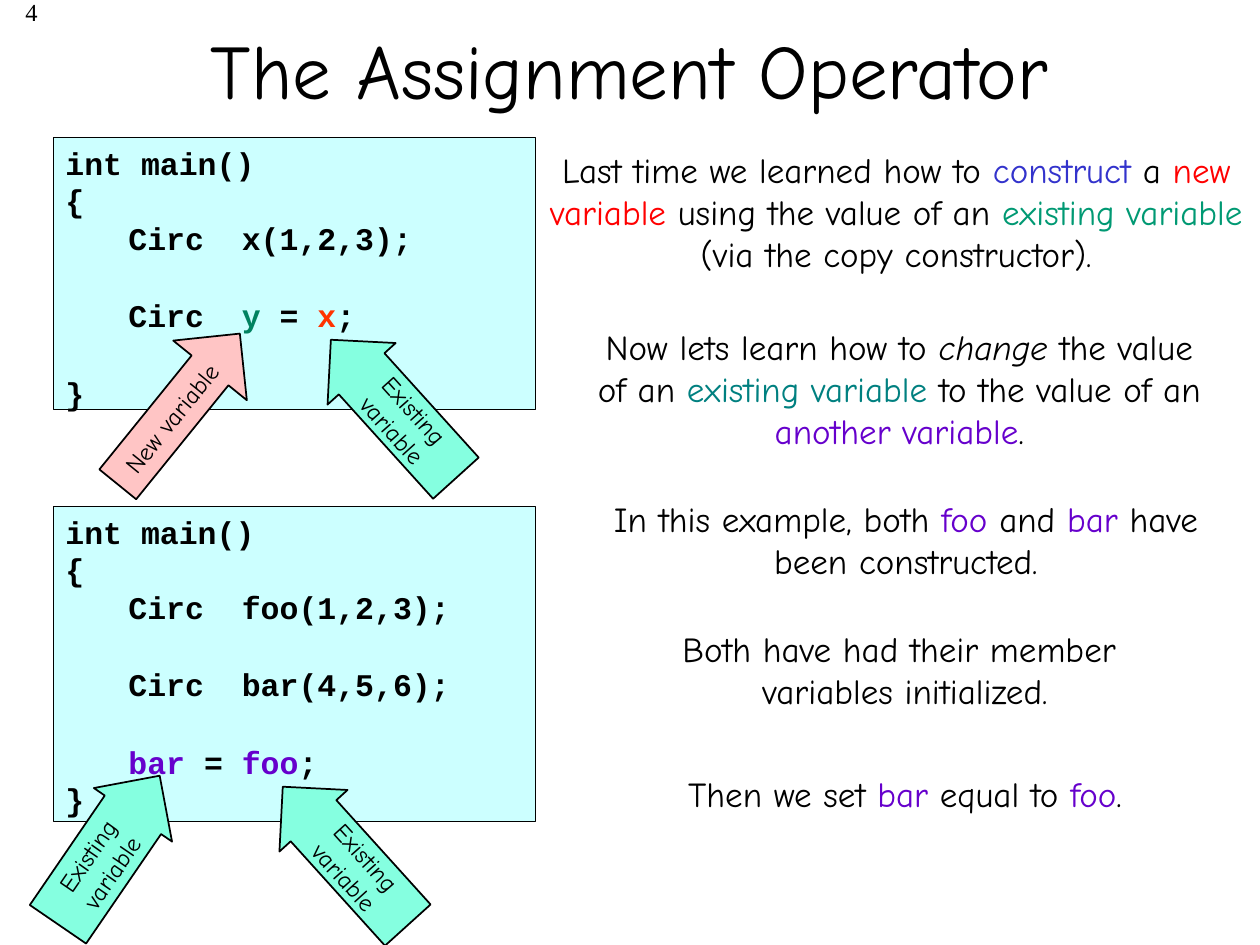
import pptx
import pptx.dml.color
import pptx.enum.shapes
import pptx.enum.text
import pptx.util

Cm = pptx.util.Cm
Pt = pptx.util.Pt
ALIGN = pptx.enum.text.PP_ALIGN
ANCHOR = pptx.enum.text.MSO_ANCHOR
SHAPE = pptx.enum.shapes.MSO_SHAPE

BLACK = "000000"
PURPLE = "6600CC"
MINT = "85FFE0"


def color(value):
    return pptx.dml.color.RGBColor.from_string(value)


class SlideWriter:
    body_font = "Comic Neue"
    code_font = "Courier New"
    panel_fill = "CCFFFF"
    code_pitch = 21.6
    code_gap = 22.5

    def __init__(self, deck):
        self.slide = deck.slides.add_slide(deck.slide_layouts[5])

    def span(self, para, words, size, font=body_font, ink=BLACK, bold=False, italic=False):
        span = para.add_run()
        span.text = words
        span.font.name = font
        span.font.size = Pt(size)
        span.font.bold = bold
        span.font.italic = italic
        span.font.color.rgb = color(ink)

    def title(self, words, left, top, width, height):
        box = self.slide.shapes.title
        box.left, box.top, box.width, box.height = Cm(left), Cm(top), Cm(width), Cm(height)
        box.text_frame.vertical_anchor = ANCHOR.MIDDLE
        para = box.text_frame.paragraphs[0]
        para.alignment = ALIGN.CENTER
        self.span(para, words, 44)

    def text_box(self, left, top, width, height):
        box = self.slide.shapes.add_textbox(Cm(left), Cm(top), Cm(width), Cm(height))
        box.text_frame.word_wrap = True
        return box.text_frame

    def page_number(self, words, left, top, width, height):
        para = self.text_box(left, top, width, height).paragraphs[0]
        para.alignment = ALIGN.RIGHT
        self.span(para, words, 14, "Times New Roman")

    def note(self, left, top, width, height, lines):
        para = self.text_box(left, top, width, height).paragraphs[0]
        para.alignment = ALIGN.CENTER
        for number, pieces in enumerate(lines):
            if number:
                para.add_line_break()
            for words, ink, *slant in pieces:
                self.span(para, words, 20, ink=ink, italic=bool(slant))

    def shape(self, kind, left, top, width, height, fill, line_width):
        shape = self.slide.shapes.add_shape(kind, Cm(left), Cm(top), Cm(width), Cm(height))
        shape.shadow.inherit = False
        shape.fill.solid()
        shape.fill.fore_color.rgb = color(fill)
        shape.line.color.rgb = color(BLACK)
        shape.line.width = Pt(line_width)
        return shape

    def code_panel(self, top, height, lines):
        self.shape(SHAPE.RECTANGLE, 1.07, top, 9.73, height, self.panel_fill, 0.25)
        frame = self.text_box(-0.2, top, 10.9, height + 1.2)
        for number, (gap_above, pieces) in enumerate(lines):
            para = frame.add_paragraph() if number else frame.paragraphs[0]
            properties = para._p.get_or_add_pPr()
            properties.set("marL", "0")
            properties.set("indent", str(Cm(1.27)))
            para.line_spacing = Pt(self.code_pitch)
            if gap_above:
                para.space_before = Pt(self.code_gap)
            for words, ink in pieces:
                self.span(para, words, 18, self.code_font, ink, bold=True)

    def arrow(self, kind, left, top, width, height, rotation, fill, words, thickness=0.5, inset=0.0):
        shape = self.shape(kind, left, top, width, height, fill, 1)
        shape.rotation = rotation
        shape.adjustments[0] = thickness
        frame = shape.text_frame
        frame.word_wrap = True
        frame.vertical_anchor = ANCHOR.MIDDLE
        frame.margin_left = frame.margin_right = 0
        frame.margin_top = frame.margin_bottom = Cm(inset)
        para = frame.paragraphs[0]
        para.alignment = ALIGN.CENTER
        self.span(para, words, 14)


def main():
    deck = pptx.Presentation()
    deck.slide_width, deck.slide_height = Cm(25.4), Cm(19.05)
    page = SlideWriter(deck)

    page.page_number("4", -4.27, -0.18, 5.28, 1.27)
    page.title("The Assignment Operator", 1.9, -0.2, 21.59, 3.18)

    page.note(10.77, 2.87, 14.6, 2.82, [[
        ("Last time we learned how to ", BLACK), ("construct ", "3333CC"), ("a ", BLACK),
        ("new variable ", "FF0000"), ("using the value of an ", BLACK),
        ("existing variable ", "009973"), ("(via the copy constructor).", BLACK)]])
    page.note(11.73, 6.43, 12.8, 2.79, [[
        ("Now lets learn how to ", BLACK), ("change", BLACK, "italic"), (" the value of an ", BLACK),
        ("existing variable ", "008080"), ("to the value of an ", BLACK),
        ("another variable", PURPLE), (".", BLACK)]])
    page.note(11.65, 9.91, 13.23, 1.96, [[
        ("In this example, both ", BLACK), ("foo", PURPLE), (" and ", BLACK),
        ("bar", PURPLE), (" have been constructed.", BLACK)]])
    page.note(11.63, 12.52, 13.23, 1.96, [
        [("Both have had their member ", BLACK)], [("variables initialized.", BLACK)]])
    page.note(11.63, 15.44, 13.23, 1.09, [[
        ("Then we set ", BLACK), ("bar", PURPLE), (" equal to ", BLACK),
        ("foo", PURPLE), (".", BLACK)]])

    opening = [(False, [("int main()", BLACK)]), (False, [("{", BLACK)])]
    page.code_panel(2.77, 5.49, opening + [
        (False, [("\tCirc  x(1,2,3);", BLACK)]),
        (True, [("\tCirc  ", BLACK), ("y", "008260"), (" = ", BLACK), ("x", "FF3300"), (";", BLACK)]),
        (True, [("}", BLACK)])])
    page.code_panel(10.21, 6.35, opening + [
        (False, [("\tCirc  foo(1,2,3);", BLACK)]),
        (True, [("\tCirc  bar(4,5,6);", BLACK)]),
        (True, [("\t", BLACK), ("bar", PURPLE), (" = ", BLACK), ("foo", PURPLE), (";", BLACK)]),
        (False, [("}", BLACK)])])

    page.arrow(SHAPE.RIGHT_ARROW, 1.65, 7.29, 3.91, 1.91, 309, "FFC5C5", "New variable", inset=0.13)
    for left, top in [(6.05, 7.32), (5.08, 16.33)]:
        page.arrow(SHAPE.LEFT_ARROW, left, top, 3.76, 1.85, 47.9, MINT, "Existing variable", 0.67)
    page.arrow(SHAPE.RIGHT_ARROW, 0.38, 16.18, 3.63, 1.91, 304.4, MINT, "Existing variable", 0.72, 0.13)

    deck.save("out.pptx")


if __name__ == "__main__":
    main()
